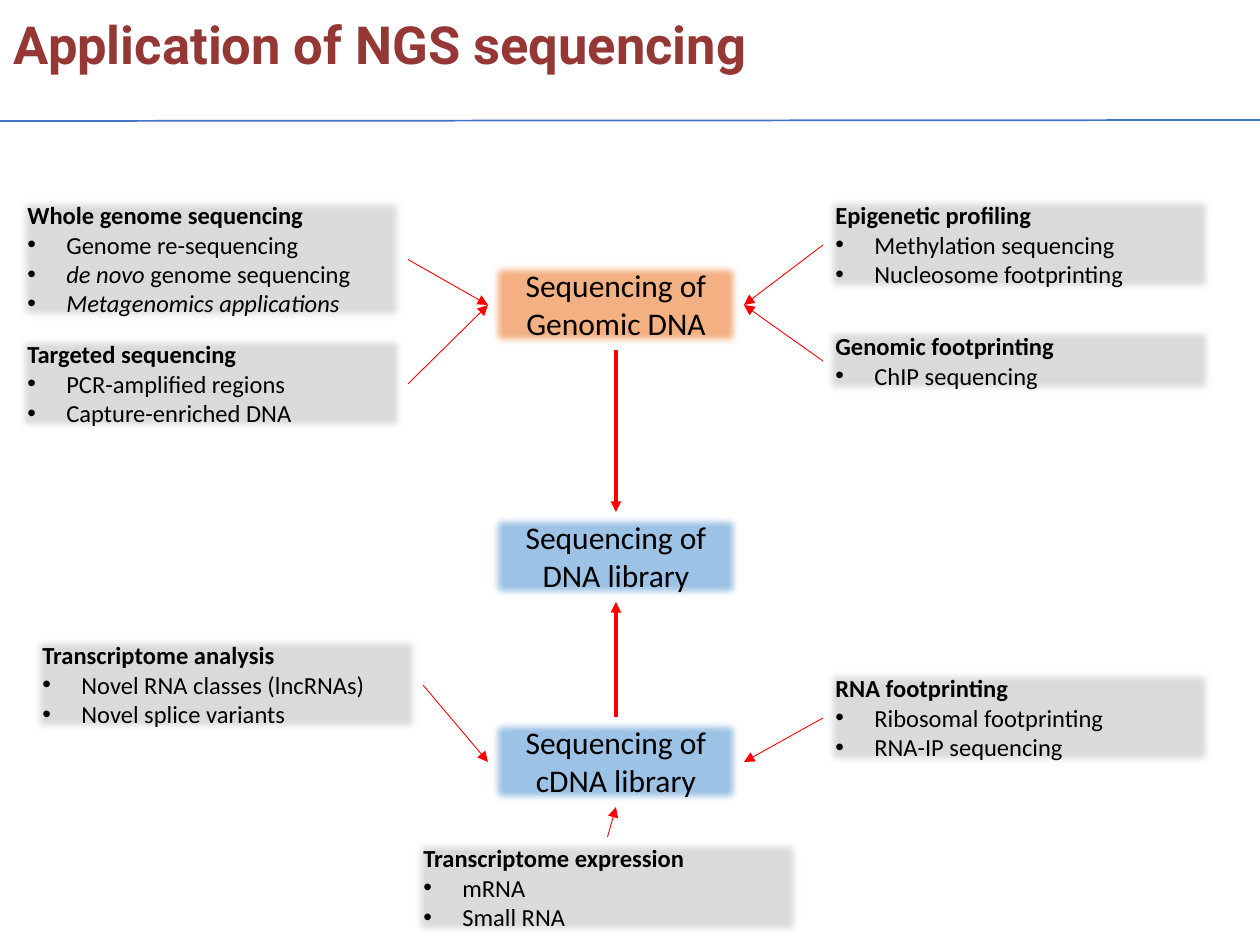
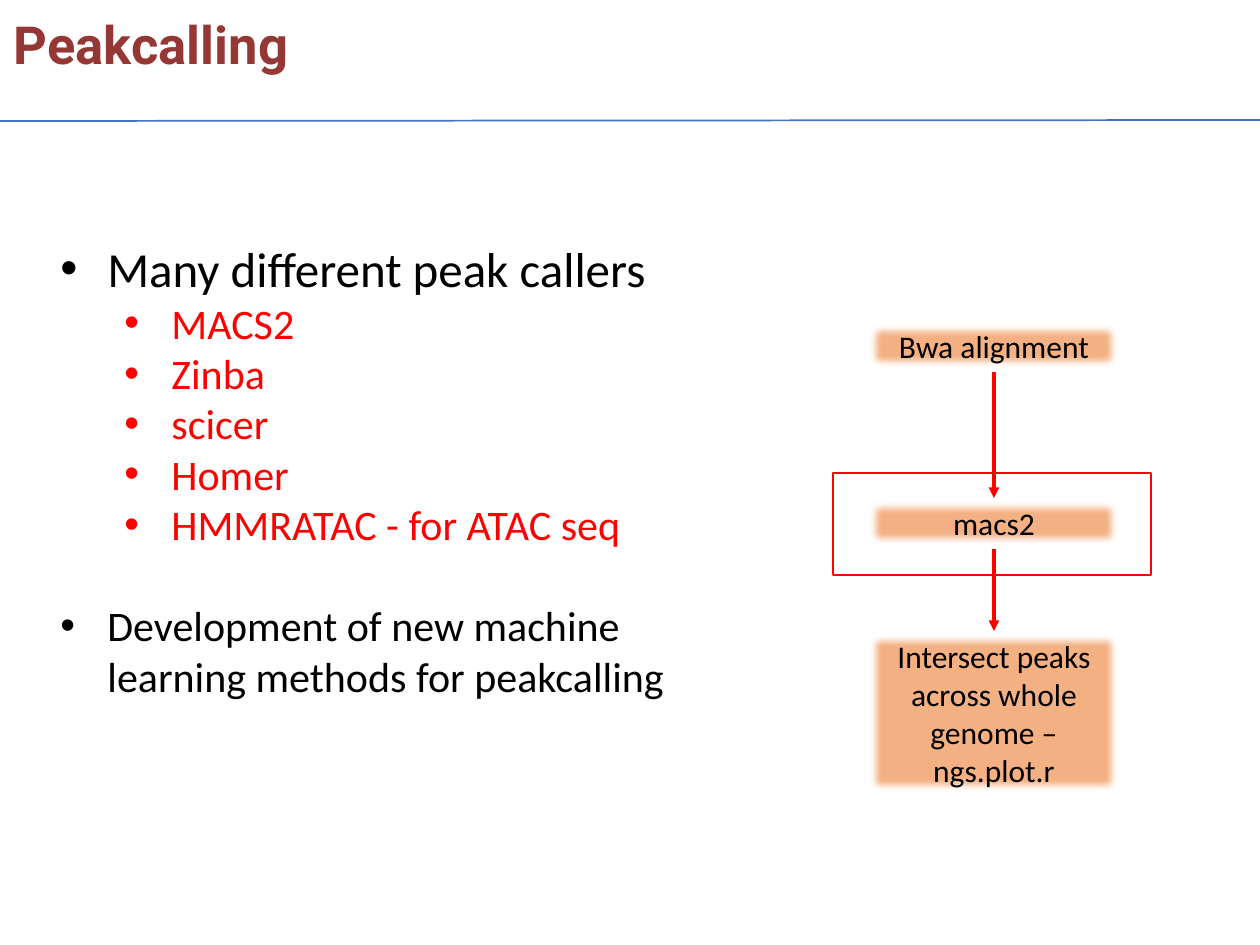
"""Build two slides on NGS sequencing applications and peak calling."""
import lxml.etree
import pptx
import pptx.dml.color
import pptx.enum.shapes
import pptx.enum.text
import pptx.oxml.ns
import pptx.util

RGB = pptx.dml.color.RGBColor
MAROON = RGB(0x95, 0x37, 0x35)
BLUE = RGB(0x44, 0x72, 0xC4)
ORANGE = RGB(0xF4, 0xB1, 0x83)
SKY = RGB(0x9D, 0xC3, 0xE6)
GREY = RGB(0xDB, 0xDB, 0xDB)
RED = RGB(0xFF, 0x00, 0x00)
BLACK = RGB(0x00, 0x00, 0x00)

PX_PER_INCH = 126
SOFT_EDGE = 63500
TOP, LEFT, BOTTOM, RIGHT = range(4)
CENTER = pptx.enum.text.PP_ALIGN.CENTER
qn = pptx.oxml.ns.qn


def px(length):
    return pptx.util.Emu(round(length * 914400 / PX_PER_INCH))


def add_xml(parent, tag, **attributes):
    return lxml.etree.SubElement(parent, qn(tag), attributes)


class Deck:
    def __init__(self):
        self.presentation = pptx.Presentation()
        self.presentation.slide_width = px(1260)
        self.presentation.slide_height = px(945)
        self.slide = None

    def start_slide(self, title):
        self.slide = self.presentation.slides.add_slide(self.presentation.slide_layouts[6])
        heading = self.text_frame(self.text_box(0, 6, 1283, 77))
        heading.margin_left = heading.margin_right = px(14)
        self.set_text(heading.paragraphs[0], title, 30, MAROON, bold=True, face="Roboto")
        self.line(0, 121, 1260, 120, BLUE, 1)

    def text_box(self, x, y, width, height):
        return self.slide.shapes.add_textbox(px(x), px(y), px(width), px(height))

    def rectangle(self, x, y, width, height):
        shape = self.slide.shapes.add_shape(
            pptx.enum.shapes.MSO_SHAPE.RECTANGLE, px(x), px(y), px(width), px(height))
        shape.shadow.inherit = False
        return shape

    def soft_box(self, x, y, width, height, color):
        shape = self.rectangle(x, y, width, height)
        shape.fill.solid()
        shape.fill.fore_color.rgb = color
        shape.line.fill.background()
        effects = shape.element.spPr.find(qn("a:effectLst"))
        add_xml(effects, "a:softEdge", rad=str(SOFT_EDGE))
        return shape

    def frame(self, x, y, width, height):
        shape = self.rectangle(x, y, width, height)
        shape.fill.background()
        shape.line.color.rgb = RED
        shape.line.width = pptx.util.Pt(1)

    def text_frame(self, shape):
        frame = shape.text_frame
        frame.word_wrap = True
        frame.auto_size = pptx.enum.text.MSO_AUTO_SIZE.SHAPE_TO_FIT_TEXT
        frame.vertical_anchor = pptx.enum.text.MSO_ANCHOR.TOP
        return frame

    def paragraphs(self, frame, texts):
        for index, text in enumerate(texts):
            yield (frame.add_paragraph() if index else frame.paragraphs[0]), text

    def set_text(self, paragraph, text, size, color=BLACK, bold=False, face="Calibri",
                 align=pptx.enum.text.PP_ALIGN.LEFT):
        """Fill a paragraph, setting the parts between asterisks in italics."""
        paragraph.alignment = align
        font = paragraph.font
        font.name, font.size, font.bold = face, pptx.util.Pt(size), bold
        font.color.rgb = color
        for index, part in enumerate(text.split("*")):
            if part:
                run = paragraph.add_run()
                run.text = part
                if index % 2:
                    run.font.italic = True

    def bullet(self, paragraph, text, size, indent, hanging, color=BLACK):
        properties = paragraph._p.get_or_add_pPr()
        properties.set("marL", str(px(indent)))
        properties.set("indent", str(-px(hanging)))
        add_xml(add_xml(properties, "a:buClr"), "a:srgbClr", val=str(color))
        add_xml(properties, "a:buFont", typeface="Arial")
        add_xml(properties, "a:buChar", char="•")
        self.set_text(paragraph, text, size, color)

    def step(self, x, y, height, color, *lines):
        box = self.soft_box(x, y, 256, height, color)
        for paragraph, text in self.paragraphs(self.text_frame(box), lines):
            self.set_text(paragraph, text, 18, align=CENTER)
        return box

    def application(self, x, y, height, name, *examples):
        box = self.soft_box(x, y, 393, height, GREY)
        for paragraph, text in self.paragraphs(self.text_frame(box), (name, *examples)):
            if text == name:
                self.set_text(paragraph, text, 14, bold=True)
            else:
                self.bullet(paragraph, text, 14, 39, 39)
        return box

    def line(self, x1, y1, x2, y2, color, width):
        connector = self.slide.shapes.add_connector(
            pptx.enum.shapes.MSO_CONNECTOR.STRAIGHT, px(x1), px(y1), px(x2), px(y2))
        connector.line.color.rgb = color
        connector.line.width = pptx.util.Pt(width)
        add_xml(connector.element.spPr, "a:effectLst")
        return connector

    def arrow(self, source, source_side, target, target_side, width=0.5):
        connector = self.line(0, 0, 0, 0, RED, width)
        connector.begin_connect(source, source_side)
        connector.end_connect(target, target_side)
        add_xml(connector.element.spPr.find(qn("a:ln")), "a:tailEnd", type="triangle")


def build_applications(deck):
    deck.start_slide("Application of NGS sequencing")

    genomic, library, cdna = [
        deck.step(488, y, 90, color, "Sequencing of", subject)
        for y, color, subject in (
            (260, ORANGE, "Genomic DNA"),
            (512, SKY, "DNA library"),
            (717, SKY, "cDNA library"),
        )
    ]
    deck.arrow(genomic, BOTTOM, library, TOP, 2)
    deck.arrow(cdna, TOP, library, BOTTOM, 2)

    whole_genome = deck.application(
        15, 194, 131, "Whole genome sequencing", "Genome re-sequencing",
        "*de novo *genome sequencing", "*Metagenomics applications*")
    targeted = deck.application(
        15, 333, 102, "Targeted sequencing", "PCR-amplified regions", "Capture-enriched DNA")
    epigenetic = deck.application(
        823, 194, 102, "Epigenetic profiling", "Methylation sequencing", "Nucleosome footprinting")
    footprinting = deck.application(823, 325, 72, "Genomic footprinting", "ChIP sequencing")
    transcriptome = deck.application(
        30, 634, 102, "Transcriptome analysis", "Novel RNA classes (lncRNAs)",
        "Novel splice variants")
    rna_footprinting = deck.application(
        823, 667, 102, "RNA footprinting", "Ribosomal footprinting", "RNA-IP sequencing")
    expression = deck.application(
        411, 837, 102, "Transcriptome expression", "mRNA", "Small RNA")

    for source, target in (
        (whole_genome, genomic), (targeted, genomic), (transcriptome, cdna),
    ):
        deck.arrow(source, RIGHT, target, LEFT)
    for source, target in (
        (epigenetic, genomic), (footprinting, genomic), (rna_footprinting, cdna),
    ):
        deck.arrow(source, LEFT, target, RIGHT)
    deck.arrow(expression, TOP, cdna, BOTTOM)


def build_peakcalling(deck):
    deck.start_slide("Peakcalling")

    callers = ("MACS2", "Zinba", "scicer", "Homer", "HMMRATAC - for ATAC seq")
    overview = "Many different peak callers"
    outlook = "Development of new machine learning methods for peakcalling"
    points = deck.text_frame(deck.text_box(48, 232, 646, 479))
    for paragraph, text in deck.paragraphs(points, (overview, *callers, outlook)):
        if text in callers:
            paragraph.level = 1
            deck.bullet(paragraph, text, 24, 111, 47, RED)
        else:
            if text == outlook:
                paragraph.space_before = pptx.util.Pt(29)
            deck.bullet(paragraph, text, 28 if text == overview else 24, 47, 47)

    alignment, macs2, intersection = [
        deck.step(866, y, height, ORANGE, text)
        for y, height, text in (
            (321, 51, "Bwa alignment"),
            (498, 51, "macs2"),
            (631, 165, "Intersect peaks across whole genome – ngs.plot.r"),
        )
    ]
    deck.arrow(alignment, BOTTOM, macs2, TOP, 2)
    deck.arrow(macs2, BOTTOM, intersection, TOP, 2)
    deck.frame(833, 473, 318, 102)


def main():
    deck = Deck()
    build_applications(deck)
    build_peakcalling(deck)
    deck.presentation.save("out.pptx")


if __name__ == "__main__":
    main()
